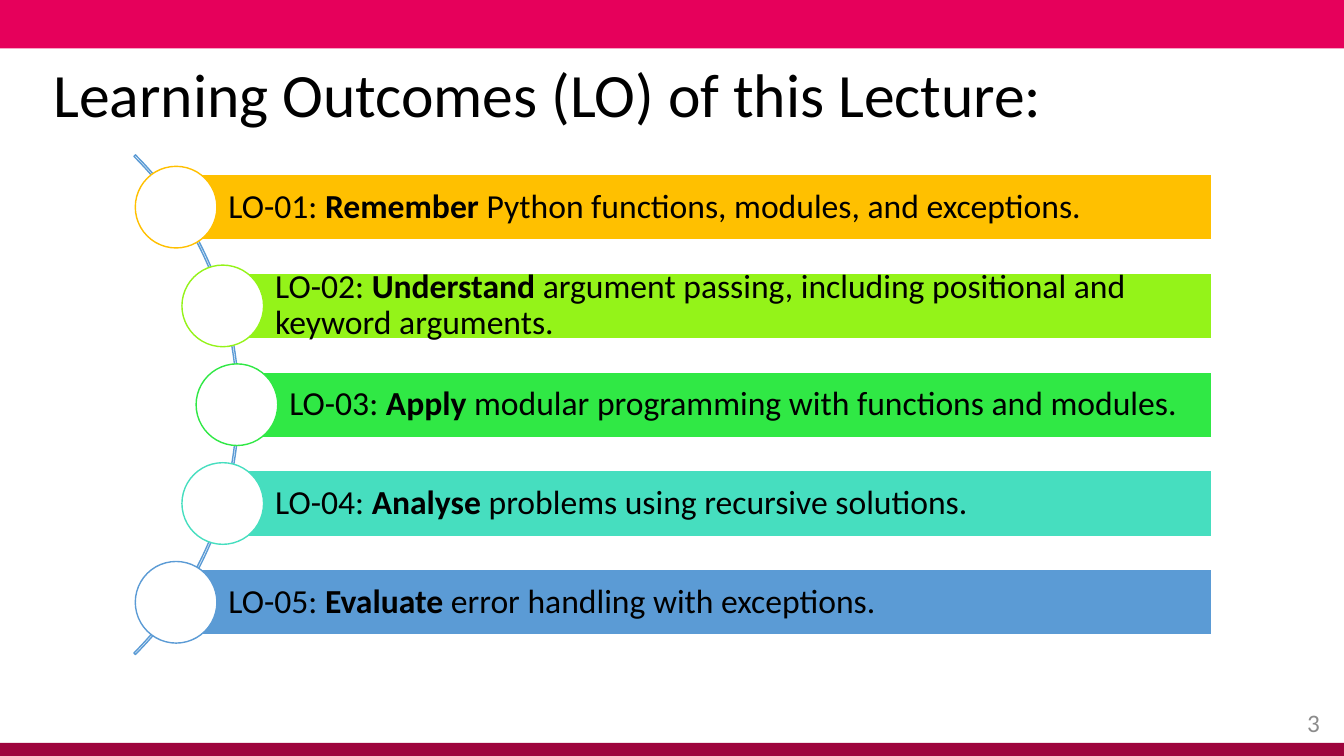
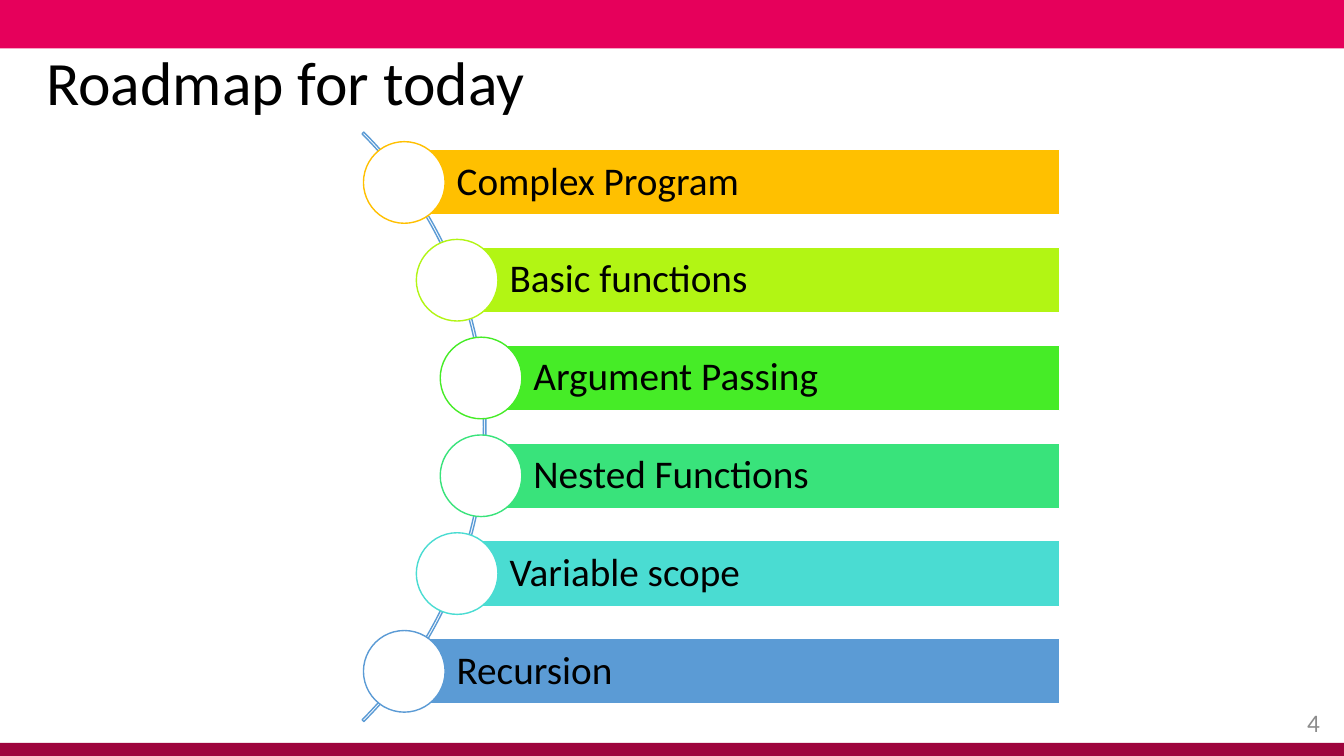
from copy import deepcopy

from pptx import Presentation
from pptx.dml.color import RGBColor
from pptx.enum.shapes import MSO_SHAPE, PP_PLACEHOLDER
from pptx.enum.text import MSO_ANCHOR, MSO_AUTO_SIZE, PP_ALIGN
from pptx.util import Inches, Pt

RECTANGLE, OVAL, BLOCK_ARC = MSO_SHAPE.RECTANGLE, MSO_SHAPE.OVAL, MSO_SHAPE.BLOCK_ARC
SLIDE_NUMBER = PP_PLACEHOLDER.SLIDE_NUMBER
LEFT, RIGHT = PP_ALIGN.LEFT, PP_ALIGN.RIGHT
TOP, MIDDLE = MSO_ANCHOR.TOP, MSO_ANCHOR.MIDDLE
NO_AUTO_SIZE = MSO_AUTO_SIZE.NONE

WIDTH, HEIGHT = 13.33, 7.5
TITLE_ONLY = 5
FONT = "Calibri"
BLACK, WHITE, GREY, BLUE = "000000", "FFFFFF", "8C8C8C", "5B9BD5"
BANDS = [((0, 0, WIDTH, 0.48), "E6005B"), ((0, 7.37, WIDTH, 0.14), "9E043D")]
NUMBER_BOX = (10.94, 6.97, 2.25, 0.4)
BAR_HEIGHT, CIRCLE_SIZE = 0.65, 0.81
ARC_INSET = 0.02  # distance from the arc's outer edge to the circle centres
LINE_SPACING = 0.9

# Asterisks enclose bold words.
OUTCOMES = [
    ("LO-01: *Remember* Python functions, modules, and exceptions.", "FFC000"),
    ("LO-02: *Understand* argument passing, including positional and keyword arguments.",
     "94F319"),
    ("LO-03: *Apply* modular programming with functions and modules.", "30E845"),
    ("LO-04: *Analyse* problems using recursive solutions.", "46DEBF"),
    ("LO-05: *Evaluate* error handling with exceptions.", BLUE),
]
ROADMAP = [
    ("Complex Program", "FFC000"),
    ("Basic functions", "B2F514"),
    ("Argument Passing", "46EC27"),
    ("Nested Functions", "39E37B"),
    ("Variable scope", "4ADCD2"),
    ("Recursion", BLUE),
]


def rgb(color):
    return RGBColor.from_string(color)


def place(shape, box):
    shape.left, shape.top, shape.width, shape.height = map(Inches, box)


def format_font(font, size, color=BLACK, bold=False):
    font.name, font.size, font.bold = FONT, Pt(size), bold
    font.color.rgb = rgb(color)


def add_shape(slide, kind, box, fill=None, line=None):
    shape = slide.shapes.add_shape(kind, *map(Inches, box))
    shape.shadow.inherit = False
    if fill:
        shape.fill.solid()
        shape.fill.fore_color.rgb = rgb(fill)
    else:
        shape.fill.background()
    if line:
        shape.line.color.rgb = rgb(line)
        shape.line.width = Pt(1)
    else:
        shape.line.fill.background()
    return shape


def find_number(page):
    return next(shape for shape in page.placeholders
                if shape.placeholder_format.type == SLIDE_NUMBER)


def style_layout(layout, slide):
    """Draw the bands on a slide, move them to its layout and place the number there."""
    for index, (box, color) in enumerate(BANDS):
        band = add_shape(slide, RECTANGLE, box, color)
        band.name = f"Band {index + 1}"
        band._element.nvSpPr.cNvPr.set("id", str(100 + index))
        layout.shapes._spTree.insert(2 + index, band._element)
    place(find_number(layout), NUMBER_BOX)


def add_number(slide, number):
    element = deepcopy(find_number(slide.slide_layout)._element)
    element.nvSpPr.cNvPr.set("id", str(100 + number))
    slide.shapes._spTree.append(element)
    frame = find_number(slide).text_frame
    frame.text = str(number)
    paragraph = frame.paragraphs[0]
    paragraph.alignment = RIGHT
    format_font(paragraph.runs[0].font, 18, GREY)


def set_title(slide, text, box):
    title = slide.shapes.title
    place(title, box)
    frame = title.text_frame
    frame.text = text
    frame.vertical_anchor = TOP
    frame.auto_size = NO_AUTO_SIZE
    paragraph = frame.paragraphs[0]
    paragraph.alignment, paragraph.line_spacing = LEFT, LINE_SPACING
    format_font(paragraph.runs[0].font, 44)


def add_bar(slide, box, text, color, size):
    bar = add_shape(slide, RECTANGLE, box, color, WHITE)
    frame = bar.text_frame
    frame.word_wrap = True
    frame.vertical_anchor = MIDDLE
    frame.margin_left = Inches(0.52)
    frame.margin_top = frame.margin_right = frame.margin_bottom = Inches(0.07)
    paragraph = frame.paragraphs[0]
    paragraph.alignment, paragraph.line_spacing = LEFT, LINE_SPACING
    for index, words in enumerate(text.split("*")):
        run = paragraph.add_run()
        run.text = words
        format_font(run.font, size, bold=index % 2 == 1)


def add_curved_list(slide, items, arc_box, right, pitch, size):
    """Space bars evenly down the arc, each starting at a circle centred on the curve."""
    arc = add_shape(slide, BLOCK_ARC, arc_box, line=BLUE)
    for index, value in enumerate((189, 27, 0.003)):
        arc.adjustments[index] = value
    left, top, diameter, _ = arc_box
    center_x, center_y = left + diameter / 2, top + diameter / 2
    radius = diameter / 2 - ARC_INSET
    for index, (text, color) in enumerate(items):
        offset = (index - (len(items) - 1) / 2) * pitch
        x, y = center_x + (radius ** 2 - offset ** 2) ** 0.5, center_y + offset
        add_bar(slide, (x, y - BAR_HEIGHT / 2, right - x, BAR_HEIGHT), text, color, size)
        circle_box = (x - CIRCLE_SIZE / 2, y - CIRCLE_SIZE / 2, CIRCLE_SIZE, CIRCLE_SIZE)
        add_shape(slide, OVAL, circle_box, WHITE, color)


def main():
    presentation = Presentation()
    presentation.slide_width, presentation.slide_height = Inches(WIDTH), Inches(HEIGHT)
    layout = presentation.slide_layouts[TITLE_ONLY]

    outcomes = presentation.slides.add_slide(layout)
    style_layout(layout, outcomes)
    set_title(outcomes, "Learning Outcomes (LO) of this Lecture:", (0.43, 0.59, 12.36, 1.1))
    add_curved_list(outcomes, OUTCOMES, (-4.64, 0.51, 7.01, 7.01), 12.02, 0.98, 24)
    add_number(outcomes, 3)

    roadmap = presentation.slides.add_slide(layout)
    set_title(roadmap, "Roadmap for today", (0.36, 0.47, 9.87, 1.1))
    add_curved_list(roadmap, ROADMAP, (-3.45, 0.1, 8.27, 8.27), 10.51, 0.97, 28)
    add_number(roadmap, 4)

    presentation.save("out.pptx")


if __name__ == "__main__":
    main()
